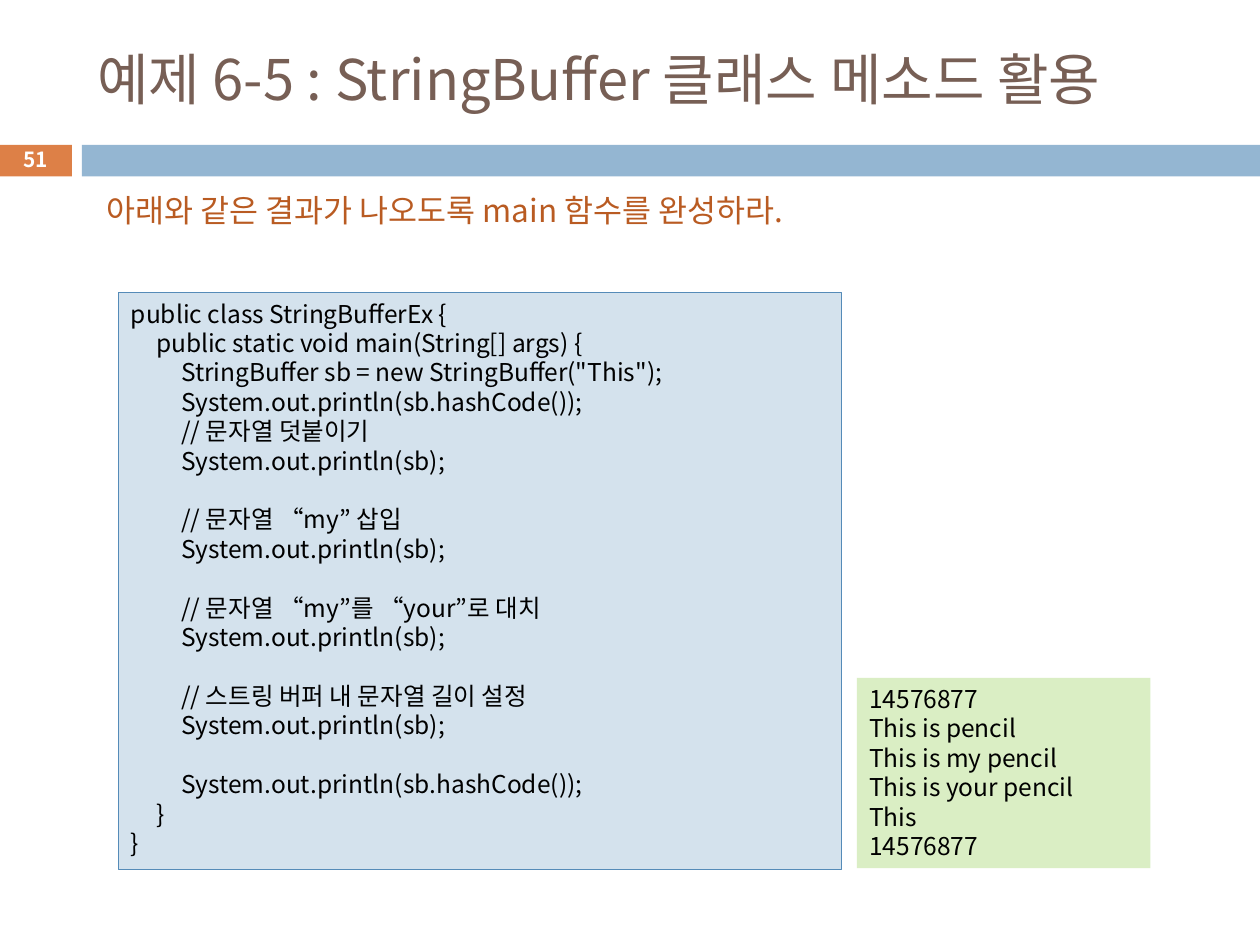
from lxml import etree
from pptx import Presentation
from pptx.dml.color import RGBColor
from pptx.enum import shapes, text
from pptx.oxml import ns
from pptx.util import Inches, Pt

FONT = "Noto Sans CJK KR"
BROWN = RGBColor(0x77, 0x5F, 0x55)
RUST = RGBColor(0xB9, 0x5B, 0x22)
ORANGE = RGBColor(0xDD, 0x80, 0x47)
BLUE = RGBColor(0x94, 0xB6, 0xD2)
PALE_BLUE = RGBColor(0xD4, 0xE2, 0xED)
EDGE_BLUE = RGBColor(0x55, 0x8B, 0xB8)
PALE_GREEN = RGBColor(0xDA, 0xEE, 0xC4)
BLACK = RGBColor(0, 0, 0)
WHITE = RGBColor(0xFF, 0xFF, 0xFF)

TITLE = "예제 6-5 : StringBuffer 클래스 메소드 활용"
TASK = "아래와 같은 결과가 나오도록 main 함수를 완성하라."
PAGE = "51"
CODE = """public class StringBufferEx {
\tpublic static void main(String[] args) {
\t\tStringBuffer sb = new StringBuffer("This");
\t\tSystem.out.println(sb.hashCode());
\t\t// 문자열 덧붙이기
\t\tSystem.out.println(sb);

\t\t// 문자열 “my” 삽입
\t\tSystem.out.println(sb);

\t\t// 문자열 “my”를 “your”로 대치
\t\tSystem.out.println(sb);

\t\t// 스트링 버퍼 내 문자열 길이 설정
\t\tSystem.out.println(sb);

\t\tSystem.out.println(sb.hashCode());
\t}
}"""
OUTPUT = """14576877
This is pencil
This is my pencil
This is your pencil
This
14576877"""
TAB = 0.2
LINE_HEIGHT = 1.2


def place(sp, box):
    for name, value in zip(("left", "top", "width", "height"), box):
        setattr(sp, name, Inches(value))


def add_rect(s, box, fill, line=None):
    sp = s.shapes.add_shape(shapes.MSO_SHAPE.RECTANGLE, *map(Inches, box))
    sp.shadow.inherit = False
    sp.fill.solid()
    sp.fill.fore_color.rgb = fill
    if line is None:
        sp.line.fill.background()
    else:
        sp.line.color.rgb = line
        sp.line.width = Pt(0.75)
    return sp


def add_tabs(p):
    tabs = etree.SubElement(p._p.get_or_add_pPr(), ns.qn("a:tabLst"))
    for level in (1, 2):
        etree.SubElement(tabs, ns.qn("a:tab"), pos=str(Inches(TAB * level)), algn="l")


def write(sp, content, size, color, anchor=text.MSO_ANCHOR.TOP,
          align=text.PP_ALIGN.LEFT, bold=False, wrap=True):
    tf = sp.text_frame
    for name, value in {"word_wrap": wrap, "vertical_anchor": anchor,
                        "auto_size": text.MSO_AUTO_SIZE.NONE}.items():
        setattr(tf, name, value)
    for i, line in enumerate(content.split("\n")):
        p = tf.add_paragraph() if i else tf.paragraphs[0]
        if line.startswith("\t"):
            add_tabs(p)
        for name, value in {"alignment": align, "space_before": Pt(0),
                            "line_spacing": Pt(size * LINE_HEIGHT)}.items():
            setattr(p, name, value)
        if not line:
            continue
        r = p.add_run()
        r.text = line
        for name, value in {"name": FONT, "size": Pt(size), "bold": bold}.items():
            setattr(r.font, name, value)
        r.font.color.rgb = color
        etree.SubElement(r._r.get_or_add_rPr(), ns.qn("a:ea"), typeface=FONT)


def main():
    prs = Presentation()
    prs.slide_width, prs.slide_height = Inches(10), Inches(7.5)
    s = prs.slides.add_slide(prs.slide_layouts[5])
    middle = text.MSO_ANCHOR.MIDDLE

    add_rect(s, (-0.01, 1.15, 0.58, 0.25), ORANGE)
    add_rect(s, (0.65, 1.15, 9.35, 0.25), BLUE)

    title = s.shapes.title
    place(title, (0.67, 0.25, 8.92, 0.74))
    write(title, TITLE, 32, BROWN, anchor=middle)

    code = add_rect(s, (0.94, 2.32, 5.74, 4.58), PALE_BLUE, EDGE_BLUE)
    write(code, CODE, 14, BLACK)

    task = s.shapes.add_textbox(*map(Inches, (0.75, 1.47, 6.1, 0.4)))
    write(task, TASK, 18, RUST, wrap=False)

    output = add_rect(s, (6.8, 5.38, 2.33, 1.51), PALE_GREEN)
    write(output, OUTPUT, 14, BLACK)

    page = s.shapes.add_textbox(*map(Inches, (-0.01, 1.13, 0.58, 0.27)))
    write(page, PAGE, 11.9, WHITE, middle, text.PP_ALIGN.CENTER, bold=True)

    prs.save("out.pptx")


if __name__ == "__main__":
    main()
